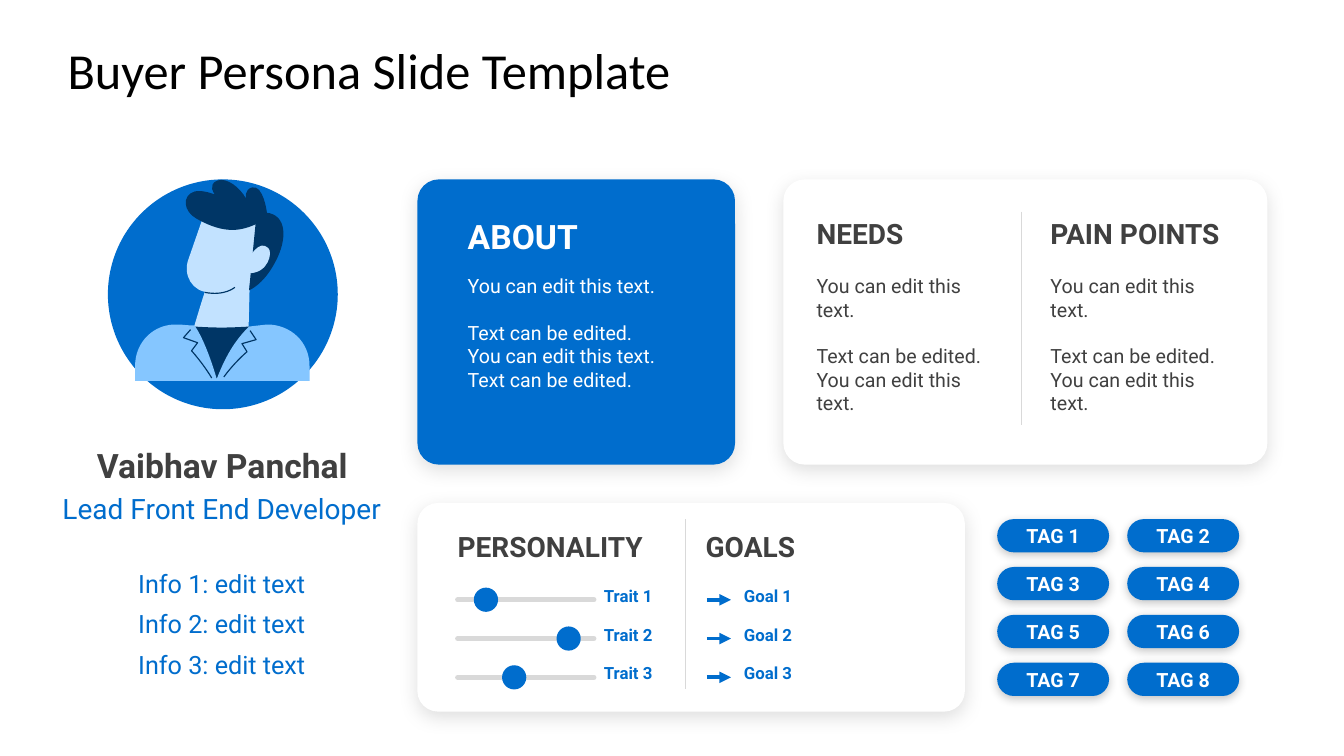
from lxml import etree
from pptx import Presentation
from pptx.dml.color import RGBColor
from pptx.enum.shapes import MSO_CONNECTOR, MSO_SHAPE
from pptx.enum.text import MSO_ANCHOR, PP_ALIGN
from pptx.oxml.ns import qn
from pptx.util import Inches, Pt

LEFT, CENTER = PP_ALIGN.LEFT, PP_ALIGN.CENTER
MIDDLE = MSO_ANCHOR.MIDDLE
OVAL, ROUNDED = MSO_SHAPE.OVAL, MSO_SHAPE.ROUNDED_RECTANGLE
STRAIGHT = MSO_CONNECTOR.STRAIGHT
COLORS = {
    "blue": "006DCD", "navy": "003666", "sky": "85C6FF", "pale": "C2E2FF",
    "dark": "404040", "rule": "D9D9D9", "white": "FFFFFF", "black": "000000",
}
COLOR = {name: RGBColor.from_string(value) for name, value in COLORS.items()}

presentation = Presentation()
presentation.slide_width = Inches(13.33)
presentation.slide_height = Inches(7.5)
slide = presentation.slides.add_slide(presentation.slide_layouts[5])


def write(shape, *texts, size=14, color="blue", bold=False, align=LEFT,
          font="Roboto", wrap=True, gap=0):
    """Fill a shape with one formatted paragraph per text."""
    frame = shape.text_frame
    frame.word_wrap = wrap
    for index, text in enumerate(texts):
        paragraph = frame.add_paragraph() if index else frame.paragraphs[0]
        paragraph.alignment = align
        paragraph.space_before = Pt(gap if index else 0)
        run = paragraph.add_run()
        run.text = text
        run.font.name, run.font.size, run.font.bold = font, Pt(size), bold
        run.font.color.rgb = COLOR[color]


def add_solid(kind, box, color, corner=None, shadow=None):
    """Add a filled preset shape; shadow is (opacity %, blur pt, offset pt)."""
    shape = slide.shapes.add_shape(kind, *map(Inches, box))
    shape.fill.solid()
    shape.fill.fore_color.rgb = COLOR[color]
    shape.line.fill.background()
    shape.shadow.inherit = False
    if corner is not None:
        shape.adjustments[0] = corner
    if shadow:
        opacity, blur, offset = shadow
        effects = shape._element.spPr.find(qn("a:effectLst"))
        outer = etree.SubElement(
            effects, qn("a:outerShdw"), blurRad=str(Pt(blur)),
            dist=str(Pt(offset)), dir="5400000", algn="t", rotWithShape="0")
        black = etree.SubElement(outer, qn("a:srgbClr"), val=COLORS["black"])
        etree.SubElement(black, qn("a:alpha"), val=str(opacity * 1000))
    return shape


# Title
title = slide.shapes.title
title.left, title.top = Inches(0.67), Inches(0.3)
title.width, title.height = Inches(12), Inches(0.78)
title.text_frame.margin_left = title.text_frame.margin_right = 0
title.text_frame.vertical_anchor = MIDDLE
write(title, "Buyer Persona Slide Template", size=36, color="black", font="Calibri")

# Portrait disc and cards
add_solid(OVAL, (1.07, 1.78, 2.28, 2.28), "blue")
for box, color, corner in [
    ((4.14, 1.78, 3.15, 2.83), "blue", 0.075),
    ((7.77, 1.78, 4.8, 2.83), "white", 0.075),
    ((4.14, 4.99, 5.43, 2.07), "white", 0.099),
]:
    add_solid(ROUNDED, box, color, corner, (13, 14, 4))

# Name, role and info lines
persona_lines = [
    ("Vaibhav Panchal", (0.82, 4.36, 2.77, 0.5), 24, "dark", True),
    ("Lead Front End Developer", (0.5, 4.83, 3.4, 0.44), 20, "blue", False),
]
for index in range(3):
    persona_lines.append((f"Info {index + 1}: edit text",
                          (1.26, 5.59 + 0.4 * index, 1.88, 0.4), 18, "blue", False))
for text, box, size, color, bold in persona_lines:
    write(slide.shapes.add_textbox(*map(Inches, box)), text, size=size,
          color=color, bold=bold, align=CENTER, wrap=False)

# Tags in two columns
for index in range(8):
    row, column = divmod(index, 2)
    tag = add_solid(ROUNDED, (9.89 + 1.29 * column, 5.15 + 0.475 * row, 1.11, 0.33),
                    "blue", 0.5, (24, 7, 2))
    tag.text_frame.vertical_anchor = MIDDLE
    write(tag, f"TAG {index + 1}", color="white", bold=True, align=CENTER)

# Card headings
for text, box, size, color, wrap in [
    ("ABOUT", (4.54, 2.09, 1.35, 0.5), 24, "white", False),
    ("NEEDS", (8, 2.1, 1.09, 0.44), 20, "dark", False),
    ("PAIN POINTS", (10.32, 2.1, 1.98, 0.44), 20, "dark", True),
    ("PERSONALITY", (4.44, 5.2, 2.06, 0.44), 20, "dark", False),
    ("GOALS", (6.9, 5.2, 1.98, 0.44), 20, "dark", True),
]:
    write(slide.shapes.add_textbox(*map(Inches, box)), text, size=size,
          color=color, bold=True, wrap=wrap)

# Card body texts
short_text = "You can edit this text."
long_text = "Text can be edited. You can edit this text."
for left, width, color, ending in [
    (4.54, 2.2, "white", " Text can be edited."),
    (8, 1.89, "dark", ""),
    (10.32, 1.98, "dark", ""),
]:
    body = slide.shapes.add_textbox(*map(Inches, (left, 2.67, width, 1.56)))
    write(body, short_text, long_text + ending, color=color, gap=16.5)

# Dividers, slider tracks and goal arrows
row_centers = [5.95 + 0.385 * index for index in range(3)]
lines = [((10.13, 2.1, 10.13, 4.22), "rule", 0.75, False),
         ((6.8, 5.15, 6.8, 6.84), "rule", 0.75, False)]
for center in row_centers:
    lines.append(((4.54, center, 5.89, center), "rule", 3.75, False))
    lines.append(((7.01, center, 7.25, center), "blue", 2.75, True))
for ends, color, width, arrow in lines:
    line = slide.shapes.add_connector(STRAIGHT, *map(Inches, ends))
    line.line.color.rgb = COLOR[color]
    line.line.width = Pt(width)
    outline = line.line._get_or_add_ln()
    if arrow:
        etree.SubElement(outline, qn("a:tailEnd"), type="triangle")
    elif width > 1:
        outline.set("cap", "rnd")
    etree.SubElement(line._element.spPr, qn("a:effectLst"))

# Slider knobs, trait and goal labels
for number, (center, knob_left) in enumerate(zip(row_centers, (4.7, 5.52, 4.98)), 1):
    add_solid(OVAL, (knob_left, center - 0.12, 0.24, 0.24), "blue")
    for word, left in (("Trait", 5.89), ("Goal", 7.28)):
        label = slide.shapes.add_textbox(*map(Inches, (left, center - 0.19, 0.71, 0.3)))
        write(label, f"{word} {number}", size=12, bold=True, wrap=False)

# Portrait: (color, filled, nodes); two numbers are a corner, six a Bezier curve
face = [(2.04, 2.08), (1.87, 2.57), (1.81, 2.73, 1.91, 2.9, 2.08, 2.9),
        (2.25, 2.91, 2.44, 2.91, 2.45, 2.9), (2.48, 2.88, 2.63, 2.06, 2.63, 2.06), (2.04, 2.08)]
neck = [(2.07, 2.79), (2.05, 2.81, 1.86, 3.46, 1.86, 3.46), (2.46, 3.48), (2.48, 2.69),
        (2.07, 2.79)]
shirt = [(3.03, 3.76), (3.04, 3.63), (3.04, 3.39, 2.88, 3.24, 2.65, 3.24), (2.47, 3.24),
         (2.47, 3.24, 2.31, 3.25, 2.2, 3.25), (2.08, 3.25, 1.93, 3.24, 1.93, 3.24),
         (1.77, 3.25), (1.54, 3.25, 1.38, 3.38, 1.38, 3.62), (1.37, 3.77), (3.03, 3.76)]
chin = [(2.33, 2.85), (2.33, 2.85, 2.23, 2.94, 2.03, 2.9)]
jacket = [(2.65, 3.22), (2.88, 3.22, 3.07, 3.39, 3.07, 3.63), (3.07, 3.78), (1.34, 3.78),
          (1.34, 3.63), (1.34, 3.39, 1.53, 3.21, 1.76, 3.22),
          (1.81, 3.22, 1.86, 3.23, 1.93, 3.23), (2, 3.33, 2.08, 3.52, 2.15, 3.76),
          (2.25, 3.5, 2.35, 3.36, 2.47, 3.24), (2.65, 3.22)]
right_lapel = [(2.48, 3.28), (2.54, 3.37), (2.4, 3.41), (2.45, 3.49),
               (2.45, 3.49, 2.33, 3.59, 2.22, 3.74)]
left_lapel = [(1.89, 3.27), (1.82, 3.35), (1.96, 3.4), (1.9, 3.48),
              (1.9, 3.48, 2.01, 3.6, 2.1, 3.75)]
quiff = [(2.55, 2.22), (2.41, 2.28, 2.25, 2.34, 1.95, 2.17), (1.82, 2.1, 1.8, 1.94, 1.93, 1.9),
         (2.01, 1.88, 2.13, 1.93, 2.13, 1.93), (2.13, 1.93, 2.05, 1.83, 2.16, 1.79),
         (2.25, 1.76, 2.38, 1.86, 2.44, 1.97), (2.44, 1.97, 2.42, 1.88, 2.5, 1.86),
         (2.61, 1.83, 2.65, 2.1, 2.65, 2.14), (2.65, 2.17, 2.58, 2.21, 2.55, 2.22)]
back_hair = [(2.54, 2.17), (2.47, 2.88), (2.47, 2.88, 2.61, 2.83, 2.73, 2.6),
             (2.85, 2.38, 2.85, 2.13, 2.64, 2.11), (2.54, 2.17)]
ear = [(2.47, 2.56), (2.47, 2.56, 2.57, 2.37, 2.66, 2.46), (2.71, 2.5, 2.66, 2.72, 2.46, 2.71),
       (2.47, 2.56)]

portrait = slide.shapes.add_group_shape()
for color, filled, nodes in [
    ("pale", True, face), ("pale", True, neck), ("navy", True, shirt),
    ("navy", False, chin), ("sky", True, jacket), ("navy", False, right_lapel),
    ("navy", False, left_lapel), ("navy", True, quiff), ("navy", True, back_hair),
    ("pale", True, ear),
]:
    points = [(Inches(node[i]), Inches(node[i + 1]))
              for node in nodes for i in range(0, len(node), 2)]
    builder = portrait.shapes.build_freeform(*points[0])
    builder.add_line_segments(points[1:], close=filled)
    part = builder.convert_to_shape()
    # Merge the three segments of each curve into one Bezier segment
    segments = iter(list(part._element.iter(qn("a:lnTo"))))
    for node in nodes[1:]:
        segment = next(segments)
        if len(node) == 6:
            segment.addprevious(curve := etree.Element(qn("a:cubicBezTo")))
            for piece in (segment, next(segments), next(segments)):
                curve.append(piece[0])
                piece.getparent().remove(piece)
    part.shadow.inherit = False
    if filled:
        part.fill.solid()
        part.fill.fore_color.rgb = COLOR[color]
        part.line.fill.background()
    else:
        part.fill.background()
        part.line.color.rgb = COLOR[color]
        part.line.width = Pt(0.81)

presentation.save("out.pptx")
